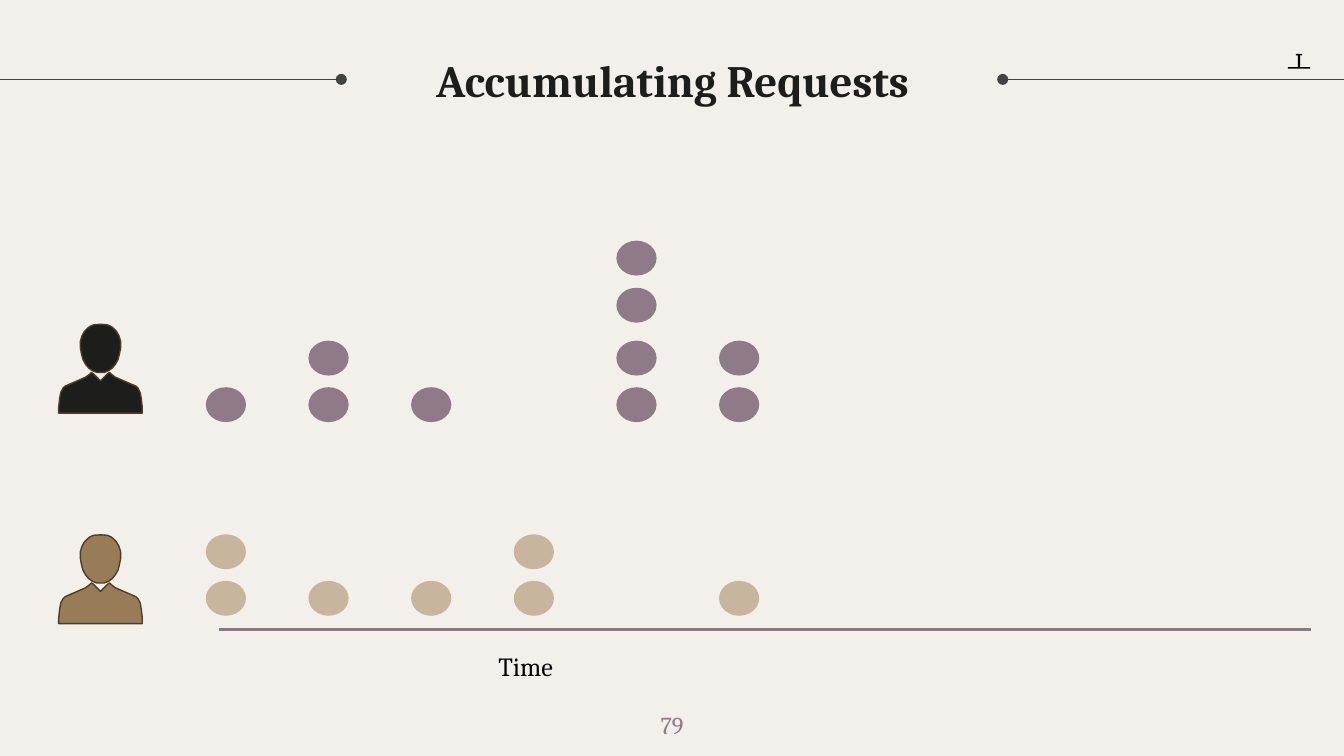
from dataclasses import dataclass

from lxml.etree import SubElement
from pptx import Presentation
from pptx.dml.color import RGBColor
from pptx.enum.shapes import MSO_CONNECTOR as Connector, MSO_SHAPE as Shape
from pptx.enum.text import MSO_ANCHOR as Anchor, MSO_AUTO_SIZE as AutoSize, PP_ALIGN as Align
from pptx.oxml.ns import qn
from pptx.util import Cm, Pt


@dataclass(frozen=True)
class Theme:
    """Colours, font and type sizes of the slide."""
    background: str = "F3EFEA"
    ink: str = "1D1D1B"
    black: str = "000000"
    rule: str = "434343"
    axis: str = "8C7884"
    mauve: str = "8F7B87"
    sand: str = "C8B59E"
    brown: str = "987B57"
    outline: str = "4C3D2B"
    font: str = "Cambria"
    title_size: int = 24
    label_size: int = 14
    number_size: int = 13


HEAD = [(0, 0), (0.13, 0.01), (0.2, 0.04), (0.25, 0.08), (0.3, 0.13), (0.35, 0.22),
        (0.38, 0.32), (0.38, 0.45), (0.36, 0.56), (0.33, 0.67), (0.28, 0.76),
        (0.22, 0.83), (0.15, 0.88), (0.07, 0.91), (0, 0.91)]
BODY = [(0, 1.07), (0.13, 0.94), (0.17, 0.91), (0.2, 0.94), (0.28, 1), (0.67, 1.17),
        (0.71, 1.21), (0.75, 1.29), (0.77, 1.4), (0.79, 1.57), (0.79, 1.68)]
STAND = [(0, 0), (0.06, 0), (0.06, 0.03), (0.02, 0.03), (0.02, 0.25), (0.21, 0.25), (0.21, 0.28)]

DOT_LEFT, DOT_PITCH = 3.89, 1.94
DOT_WIDTH, DOT_HEIGHT = 0.76, 0.66
DOT_RISES = (0, 0.88, 1.88, 2.77)


def rgb(code):
    """Turn a hex code into a colour."""
    return RGBColor.from_string(code)


def write_text(frame, text, *, font, size, color, bold=False, align=Align.LEFT,
               anchor=Anchor.TOP, wrap=True, inset=0.25, grow=False):
    """Put one formatted paragraph into a text frame."""
    frame.word_wrap = wrap
    frame.auto_size = AutoSize.SHAPE_TO_FIT_TEXT if grow else AutoSize.NONE
    frame.vertical_anchor = anchor
    frame.margin_left = frame.margin_right = Cm(0.25)
    frame.margin_top = frame.margin_bottom = Cm(inset)
    para = frame.paragraphs[0]
    para.alignment = align
    span = para.add_run()
    span.text = text
    span.font.name, span.font.size, span.font.bold = font, Pt(size), bold
    span.font.color.rgb = rgb(color)


class Painter:
    """Draws styled elements on the current slide."""

    def __init__(self, page, theme):
        """Keep the slide and the theme, and paint the background."""
        self.page, self.theme = page, theme
        fill = page.background.fill
        fill.solid()
        fill.fore_color.rgb = rgb(theme.background)

    def title(self, text, left, top, width, height):
        """Place and fill the title placeholder."""
        box = self.page.shapes.title
        box.left, box.top, box.width, box.height = map(Cm, (left, top, width, height))
        write_text(box.text_frame, text, font=self.theme.font, size=self.theme.title_size,
                   color=self.theme.ink, bold=True, align=Align.CENTER, anchor=Anchor.MIDDLE)

    def label(self, text, left, top, width, height, **style):
        """Add a text box."""
        box = self.page.shapes.add_textbox(*map(Cm, (left, top, width, height)))
        write_text(box.text_frame, text, font=self.theme.font, **style)

    def line(self, start, end, y, color, weight, oval=False):
        """Add a horizontal line, optionally starting with a round head."""
        line = self.page.shapes.add_connector(
            Connector.STRAIGHT, *map(Cm, (start, y, end, y)))
        line.line.color.rgb = rgb(color)
        line.line.width = Pt(weight)
        properties = line._element.spPr
        if oval:
            SubElement(properties.find(qn("a:ln")), qn("a:headEnd"), type="oval")
        SubElement(properties, qn("a:effectLst"))

    def dots(self, counts, base, color):
        """Stack one column of dots for each count."""
        for column, count in enumerate(counts):
            for rise in DOT_RISES[:count]:
                dot = self.page.shapes.add_shape(
                    Shape.OVAL, Cm(DOT_LEFT + column * DOT_PITCH), Cm(base - rise),
                    Cm(DOT_WIDTH), Cm(DOT_HEIGHT))
                self.finish(dot, color)

    def mirrored(self, shapes, half, center, top, color, outline=None):
        """Add a closed outline from its right half and the reflection."""
        left_half = [(-x, y) for x, y in reversed(half)]
        points = [(Cm(center + x), Cm(top + y)) for x, y in half + left_half]
        builder = shapes.build_freeform(*points[0])
        builder.add_line_segments(points[1:], close=True)
        self.finish(builder.convert_to_shape(), color, outline)

    def person(self, center, top, color):
        """Add a grouped head and shoulders."""
        group = self.page.shapes.add_group_shape()
        for half in (HEAD, BODY):
            self.mirrored(group.shapes, half, center, top, color, self.theme.outline)

    def finish(self, shape, color, outline=None):
        """Set fill and line, and remove the shadow."""
        shape.shadow.inherit = False
        shape.fill.solid()
        shape.fill.fore_color.rgb = rgb(color)
        if outline:
            shape.line.color.rgb = rgb(outline)
            shape.line.width = Pt(0)
        else:
            shape.line.fill.background()


def main():
    """Build and save the slide."""
    deck = Presentation()
    deck.slide_width, deck.slide_height = Cm(25.4), Cm(14.29)
    theme = Theme()
    painter = Painter(deck.slides.add_slide(deck.slide_layouts[5]), theme)

    for start, end in ((6.45, -0.08), (18.95, 25.43)):
        painter.line(start, end, 1.5, theme.rule, 0.75, oval=True)
    painter.title("Accumulating Requests", 6.45, 0.3, 12.52, 2.39)
    painter.mirrored(painter.page.shapes, STAND, 24.55, 1.02, theme.black)

    painter.person(1.9, 6.13, theme.ink)
    painter.dots((1, 2, 1, 0, 4, 2), 7.32, theme.mauve)
    painter.person(1.9, 10.11, theme.brown)
    painter.dots((2, 1, 1, 2, 0, 1), 10.98, theme.sand)

    painter.line(24.77, 4.14, 11.9, theme.axis, 1.5)
    painter.label("Time", 9.17, 12.17, 1.65, 0.86, size=theme.label_size,
                  color=theme.black, wrap=False, inset=0.13, grow=True)
    painter.label("79", 11.94, 13.18, 1.52, 1.09, size=theme.number_size,
                  color=theme.mauve, align=Align.CENTER)
    deck.save("out.pptx")


if __name__ == "__main__":
    main()
